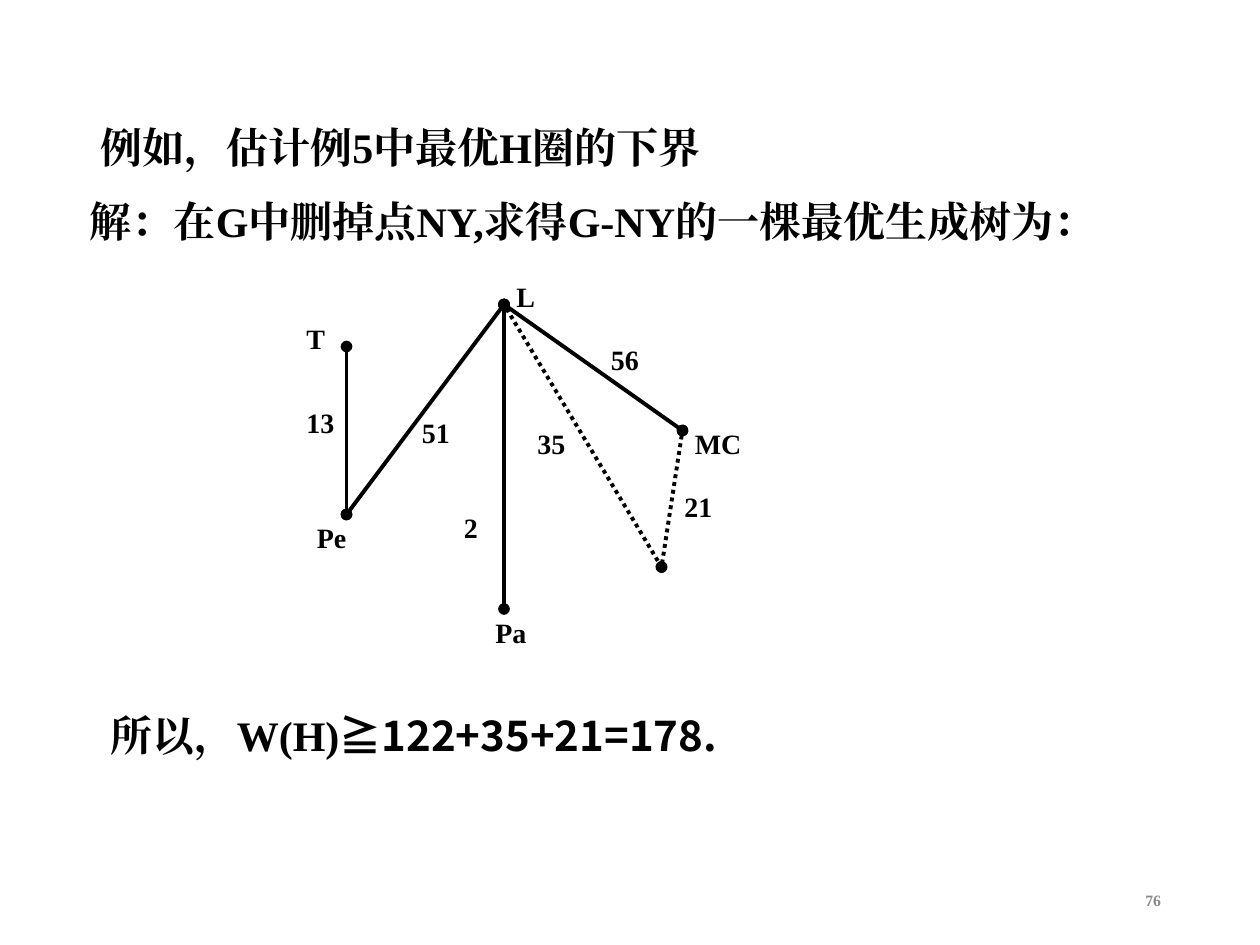
from pptx import Presentation
from pptx import util as u
from pptx.dml.color import RGBColor
from pptx.enum import dml, shapes, text
from pptx.oxml.ns import qn
from lxml import etree

COLORS = {"ink": "000000", "muted": "898989"}
PX = 9525
NODES = {"T": (264, 264), "Pe": (264, 392), "L": (384, 232), "Pa": (384, 464),
         "MC": (520, 328), "NY": (504, 432)}
TREE_EDGES = [("T", "Pe"), ("Pe", "L"), ("L", "Pa"), ("L", "MC")]
ADDED_EDGES = [("MC", "NY"), ("L", "NY")]
LABELS = [("51", 312, 312, 50), ("13", 224, 304, 50), ("MC", 520, 320, 82),
          ("56", 456, 256, 50), ("2", 344, 384, 50), ("Pa", 368, 464, 50),
          ("L", 384, 208, 50), ("Pe", 232, 392, 50), ("T", 224, 240, 50),
          ("35", 400, 320, 58), ("21", 512, 368, 58)]


class Deck:
    """Holds the presentation, its current slide and the shared style."""

    def __init__(self, width, height):
        self.prs = Presentation()
        self.prs.slide_width, self.prs.slide_height = width * PX, height * PX
        self.s = self.prs.slides.add_slide(self.prs.slide_layouts[6])
        self.font, self.cjk_font = "Times New Roman", "Noto Sans CJK SC"

    def style_run(self, r, size, color, font):
        r.font.size, r.font.bold, r.font.name = u.Pt(size), True, font
        r.font.color.rgb = RGBColor.from_string(COLORS[color])
        ea = etree.Element(qn("a:ea"), typeface=font)
        r.font._element.find(qn("a:latin")).addnext(ea)

    def text(self, content, x, y, w, h, size=16, color="ink"):
        sp = self.s.shapes.add_textbox(x * PX, y * PX, w * PX, h * PX)
        tf = sp.text_frame
        tf.word_wrap = True
        p = tf.paragraphs[0]
        p.text = content
        self.style_run(p.runs[0], size, color, self.font)
        return tf

    def statement(self, content, x, y, h, formula=""):
        p = self.text(content, x, y, 832, h, size=24).paragraphs[0]
        p._p.get_or_add_pPr().set("indent", str(43 * PX))
        if formula:
            r = p.add_run()
            r.text = formula
            self.style_run(r, 24, "ink", self.cjk_font)

    def page_number(self, content, x, y, w, h):
        tf = self.text(content, x, y, w, h, size=9, color="muted")
        tf.vertical_anchor = text.MSO_ANCHOR.MIDDLE
        tf.paragraphs[0].alignment = text.PP_ALIGN.RIGHT

    def edge(self, start, end, dotted=False):
        points = [v * PX for v in (*NODES[start], *NODES[end])]
        sp = self.s.shapes.add_connector(shapes.MSO_CONNECTOR.STRAIGHT, *points)
        sp.line.width = u.Pt(2.25)
        sp.line.color.rgb = RGBColor.from_string(COLORS["ink"])
        if dotted:
            sp.line.dash_style = dml.MSO_LINE.ROUND_DOT
        ln = sp.line._get_or_add_ln()
        for tag in ("a:headEnd", "a:tailEnd"):
            etree.SubElement(ln, qn(tag), type="oval")
        etree.SubElement(sp._element.spPr, qn("a:effectLst"))


def main():
    deck = Deck(960, 720)
    deck.page_number("76", 678, 667, 216, 38)
    deck.statement("例如，估计例5中最优H圈的下界", 24, 88, 48)
    deck.statement("解：在G中删掉点NY,求得G-NY的一棵最优生成树为：", 16, 144, 86)
    for start, end in TREE_EDGES:
        deck.edge(start, end)
    for start, end in ADDED_EDGES:
        deck.edge(start, end, dotted=True)
    for label, x, y, w in LABELS:
        deck.text(label, x, y, w, 36)
    deck.statement("所以，W(H)", 32, 536, 48, formula="≧122+35+21=178.")
    deck.prs.save("out.pptx")


if __name__ == "__main__":
    main()
